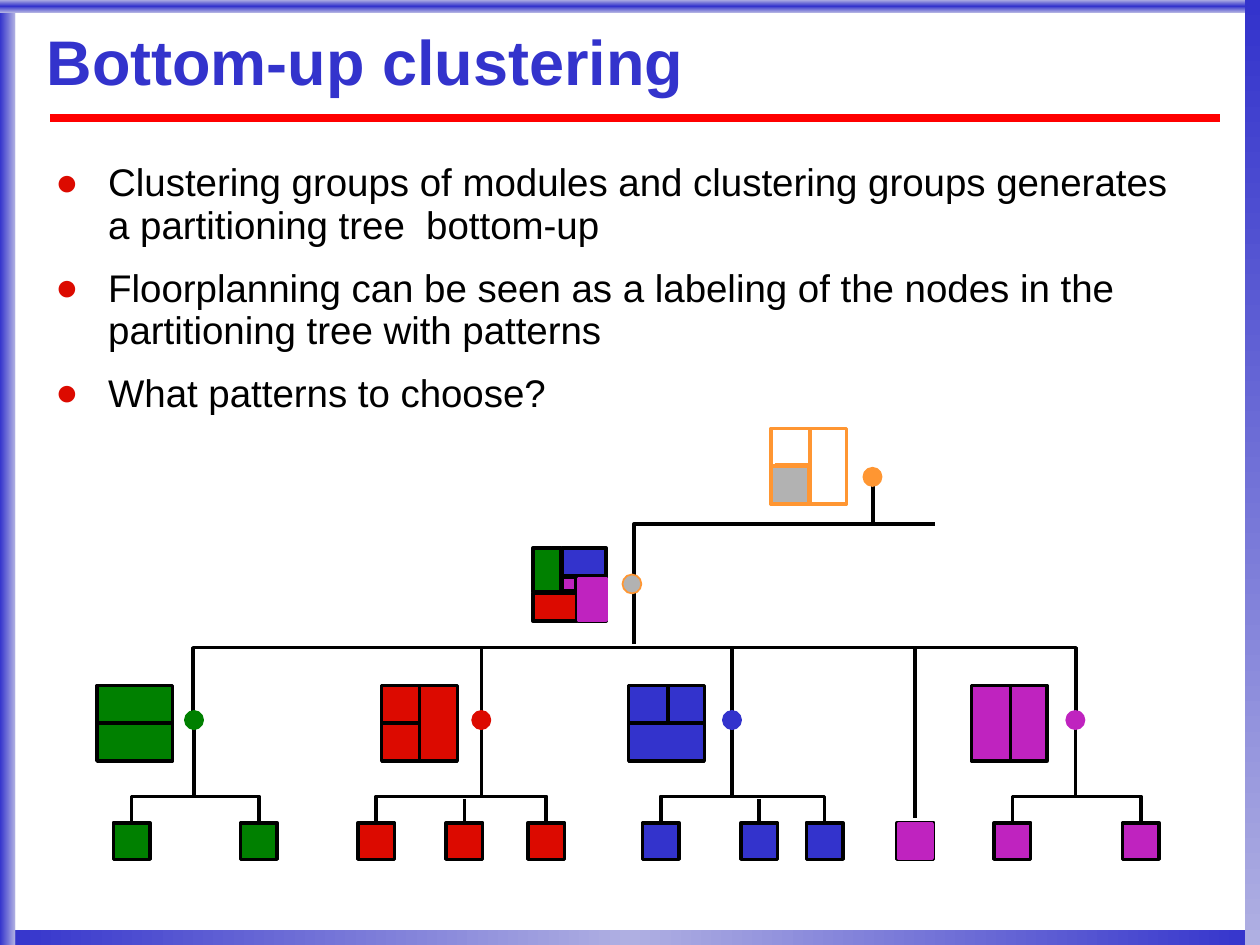
"""Build the slide on bottom-up clustering with its partitioning tree."""
from lxml import etree
from pptx import Presentation
from pptx.dml.color import RGBColor
from pptx.enum.shapes import MSO_CONNECTOR, MSO_SHAPE
from pptx.enum.text import MSO_ANCHOR
from pptx.oxml import parse_xml
from pptx.oxml.ns import qn
from pptx.util import Inches, Pt

RECTANGLE, OVAL = MSO_SHAPE.RECTANGLE, MSO_SHAPE.OVAL
STRAIGHT, MIDDLE = MSO_CONNECTOR.STRAIGHT, MSO_ANCHOR.MIDDLE
DRAWING = 'xmlns:a="http://schemas.openxmlformats.org/drawingml/2006/main"'
FONT = "Arial"
COLOURS = {
    "black": "000000", "blue": "3333CC", "pale": "AFAFE2", "rule": "FF0000",
    "green": "008000", "red": "DC0A00", "purple": "BF23BF",
    "orange": "FF9632", "gray": "B2B2B2",
}
TITLE = "Bottom-up clustering"
BULLETS = [
    "Clustering groups of modules and clustering groups generates a partitioning tree  bottom-up",
    "Floorplanning can be seen as a labeling of the nodes in the partitioning tree with patterns",
    "What patterns to choose?",
]
BORDERS = [
    ((0, 7.38, 10, 0.13), ("blue", "pale", "blue"), 0),
    ((0, 0, 0.12, 7.5), ("blue", "pale"), 0),
    ((0, 0, 10, 0.1), ("pale", "blue", "pale"), 90),
    ((9.88, 0, 0.12, 7.5), ("blue", "pale"), 90),
]
LEAF_TOP, LEAF, BAR_TOP = 6.53, 0.29, 6.32
PATTERN_TOP, PATTERN = 5.44, 0.6
NODE_Y, NODE = 5.715, 0.13
CLUSTERS = [
    {"colour": "green", "node": 1.54, "pattern": 0.77, "leaves": [0.9, 1.91],
     "cuts": [(0, 0.3, 0.6, 0.3)]},
    {"colour": "red", "node": 3.82, "pattern": 3.03, "leaves": [2.84, 3.54, 4.19],
     "cuts": [(0, 0.3, 0.3, 0.3), (0.3, 0, 0.3, 0.6)]},
    {"colour": "blue", "node": 5.81, "pattern": 4.99, "leaves": [5.1, 5.88, 6.4],
     "cuts": [(0.31, 0, 0.31, 0.3), (0, 0.3, 0.6, 0.3)]},
    {"colour": "purple", "node": 8.535, "pattern": 7.71, "leaves": [7.89, 8.91],
     "cuts": [(0.31, 0, 0.31, 0.6)]},
]
BRANCHES = [
    [(1.53, 5.72), (1.53, 5.14), (8.54, 5.14), (8.54, 5.76)],
    [(5.03, 4.64), (5.03, 4.16), (7.42, 4.16)],
]
STEMS = [
    (3.82, 5.15, 3.82, 5.67), (5.81, 5.15, 5.81, 5.67), (5.03, 4.7, 5.03, 5.11),
    (7.26, 5.15, 7.26, 6.49), (6.93, 3.84, 6.93, 4.15),
]
TILES = [
    ((4.59, 4.58, 0.22, 0.35), "gray", "black"),
    ((4.23, 4.35, 0.22, 0.35), "green", "black"),
    ((4.23, 4.71, 0.35, 0.22), "red", "black"),
    ((4.46, 4.35, 0.35, 0.22), "blue", "black"),
    ((4.59, 4.59, 0.22, 0.33), "purple", "purple"),
    ((4.46, 4.58, 0.11, 0.11), "purple", "black"),
    ((7.12, 6.53, 0.29, 0.29), "purple", "black"),
    ((7.13, 6.54, 0.27, 0.27), "purple", "purple"),
]

presentation = Presentation()
presentation.slide_width, presentation.slide_height = Inches(10), Inches(7.5)
slide = presentation.slides.add_slide(presentation.slide_layouts[6])
shapes = slide.shapes


def colour(name):
    return RGBColor.from_string(COLOURS[name])


def style(shape, fill, line, width):
    shape.shadow.inherit = False
    if fill:
        shape.fill.solid()
        shape.fill.fore_color.rgb = colour(fill)
    else:
        shape.fill.background()
    if line:
        shape.line.color.rgb = colour(line)
        shape.line.width = Pt(width)
    else:
        shape.line.fill.background()


def add_preset(kind, box, fill=None, line=None, width=2):
    shape = shapes.add_shape(kind, *map(Inches, box))
    style(shape, fill, line, width)
    return shape


def add_line(ends, line="black", width=2):
    connector = shapes.add_connector(STRAIGHT, *map(Inches, ends))
    connector.line.color.rgb = colour(line)
    connector.line.width = Pt(width)
    etree.SubElement(connector._element.spPr, qn("a:effectLst"))


def add_branch(points):
    corners = [(Inches(x), Inches(y)) for x, y in points]
    builder = shapes.build_freeform(*corners[0])
    builder.add_line_segments(corners[1:], close=False)
    style(builder.convert_to_shape(), None, "black", 2)


def add_border(box, names, angle):
    shape = add_preset(RECTANGLE, box)
    stops = "".join(
        f'<a:gs pos="{100000 * i // (len(names) - 1)}"><a:srgbClr val="{COLOURS[name]}"/></a:gs>'
        for i, name in enumerate(names))
    gradient = parse_xml(f'<a:gradFill {DRAWING} rotWithShape="1"><a:gsLst>{stops}</a:gsLst>'
                         f'<a:lin ang="{angle * 60000}" scaled="0"/></a:gradFill>')
    properties = shape._element.spPr
    properties.replace(properties.find(qn("a:noFill")), gradient)


def add_text_box(box, margins):
    frame = shapes.add_textbox(*map(Inches, box)).text_frame
    frame.word_wrap = True
    frame.margin_left = frame.margin_right = Inches(margins[0])
    frame.margin_top = frame.margin_bottom = Inches(margins[1])
    return frame


def add_run(paragraph, text, size, name, bold=False):
    run = paragraph.add_run()
    run.text = text
    run.font.name, run.font.size, run.font.bold = FONT, Pt(size), bold
    run.font.color.rgb = colour(name)
    return run


def add_cluster(cluster):
    name, node, left = cluster["colour"], cluster["node"], cluster["pattern"]
    centres = [x + LEAF / 2 for x in cluster["leaves"]]
    for x in cluster["leaves"]:
        add_preset(RECTANGLE, (x, LEAF_TOP, LEAF, LEAF), name, "black")
    first, last = centres[0], centres[-1]
    add_branch([(first, LEAF_TOP), (first, BAR_TOP), (last, BAR_TOP), (last, LEAF_TOP)])
    for x in centres[1:-1]:
        add_line((x, BAR_TOP + 0.02, x, LEAF_TOP))
    add_line((node, NODE_Y, node, BAR_TOP))
    add_preset(RECTANGLE, (left, PATTERN_TOP, PATTERN, PATTERN), name, "black")
    for x1, y1, x2, y2 in cluster["cuts"]:
        add_line((left + x1, PATTERN_TOP + y1, left + x2, PATTERN_TOP + y2))
    add_preset(OVAL, (node - NODE / 2, NODE_Y - NODE / 2, NODE, NODE), name, name)


for border in BORDERS:
    add_border(*border)
add_line((0.4, 0.94, 9.68, 0.94), "rule", 4.5)

for branch in BRANCHES:
    add_branch(branch)
for stem in STEMS:
    add_line(stem)
add_preset(OVAL, (6.86, 3.72, NODE, NODE), "orange", "orange")
add_preset(OVAL, (4.94, 4.56, 0.15, 0.15), "gray", "orange", 1)
add_preset(RECTANGLE, (6.12, 3.4, PATTERN, PATTERN), None, "orange")
add_line((6.15, 3.69, 6.43, 3.69), "orange")
add_line((6.43, 3.41, 6.43, 3.99), "orange")
add_preset(RECTANGLE, (6.12, 3.7, 0.3, 0.3), "gray", "orange")
for cluster in CLUSTERS:
    add_cluster(cluster)
for tile in TILES:
    add_preset(RECTANGLE, *tile)

title_frame = add_text_box((0.37, 0.15, 9.3, 0.74), (0, 0))
title_frame.vertical_anchor = MIDDLE
title_frame.paragraphs[0].line_spacing = 0.87
title_run = add_run(title_frame.paragraphs[0], TITLE, 36, "blue", True)
title_run.font._element.find(qn("a:solidFill")).addnext(parse_xml(
    f'<a:effectLst {DRAWING}><a:outerShdw dist="38100" dir="2700000">'
    f'<a:srgbClr val="{COLOURS["gray"]}"/></a:outerShdw></a:effectLst>'))

body_frame = add_text_box((0.34, 1.24, 9.08, 5.81), (0.1, 0.05))
for index, text in enumerate(BULLETS):
    paragraph = body_frame.add_paragraph() if index else body_frame.paragraphs[0]
    paragraph.line_spacing = 0.93
    paragraph.space_before = Pt(11 if index else 0)
    properties = paragraph._p.get_or_add_pPr()
    properties.set("marL", str(Inches(0.42)))
    properties.set("indent", str(-Inches(0.42)))
    bullet_colour = etree.SubElement(properties, qn("a:buClr"))
    etree.SubElement(bullet_colour, qn("a:srgbClr"), val=COLOURS["red"])
    etree.SubElement(properties, qn("a:buFont"), typeface=FONT)
    etree.SubElement(properties, qn("a:buChar"), char="●")
    add_run(paragraph, text, 22, "black")

presentation.save("out.pptx")
